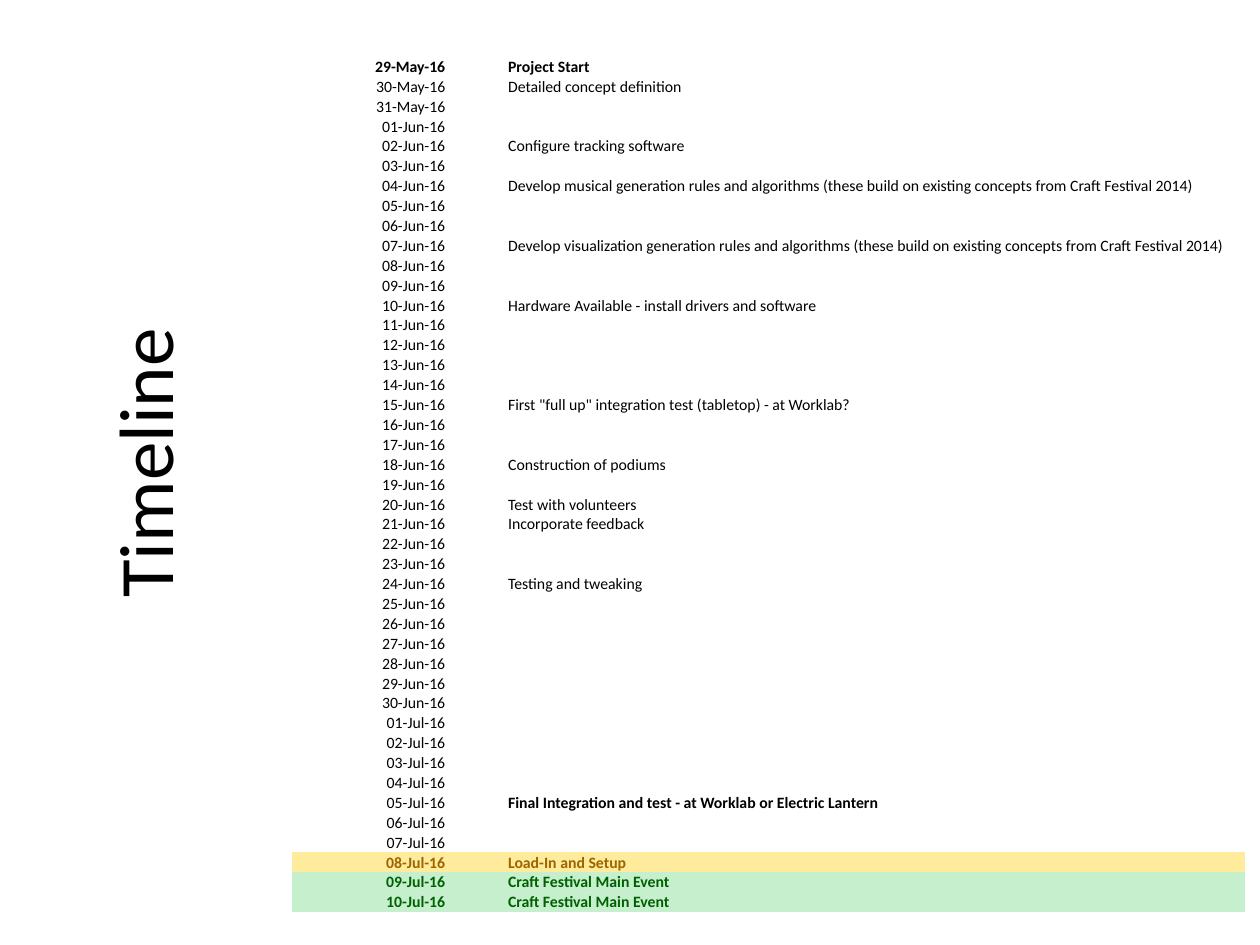
from pptx import Presentation
from pptx.dml.color import RGBColor
from pptx.enum import text
from pptx.util import Pt

FONT = "Calibri"
BLACK = RGBColor(0x00, 0x00, 0x00)
AMBER = RGBColor(0x9C, 0x65, 0x00)
SAND = RGBColor(0xFF, 0xEB, 0x9C)
GREEN = RGBColor(0x00, 0x61, 0x00)
MINT = RGBColor(0xC6, 0xEF, 0xCE)

PLAIN_STYLE = "{2D5ABB26-0587-4C30-8999-92F81FD0307C}"
SIZE = 9
ROW = 11.37
COLS = (87.8, 35.2, 421.2)

# month, first day, last day
SPANS = (("May", 29, 31), ("Jun", 1, 30), ("Jul", 1, 10))
BUILD = "(these build on existing concepts from Craft Festival 2014)"
TASKS = {
    "29-May": "Project Start",
    "30-May": "Detailed concept definition",
    "02-Jun": "Configure tracking software",
    "04-Jun": f"Develop musical generation rules and algorithms {BUILD}",
    "07-Jun": f"Develop visualization generation rules and algorithms {BUILD}",
    "10-Jun": "Hardware Available - install drivers and software",
    "15-Jun": 'First "full up" integration test (tabletop) - at Worklab?',
    "18-Jun": "Construction of podiums",
    "20-Jun": "Test with volunteers",
    "21-Jun": "Incorporate feedback",
    "24-Jun": "Testing and tweaking",
    "05-Jul": "Final Integration and test - at Worklab or Electric Lantern",
    "08-Jul": "Load-In and Setup",
    "09-Jul": "Craft Festival Main Event",
    "10-Jul": "Craft Festival Main Event",
}
# day: (text colour, band fill)
BANDS = {"08-Jul": (AMBER, SAND), "09-Jul": (GREEN, MINT), "10-Jul": (GREEN, MINT)}
BOLD_DAYS = {"29-May", *BANDS}
BOLD_TASKS = BOLD_DAYS | {"05-Jul"}


def add_run(para, words, size, color, bold=False):
    run = para.add_run()
    run.text = words
    font = run.font
    font.name, font.size, font.bold = FONT, Pt(size), bold
    font.color.rgb = color


def add_title(slide, words):
    box = slide.shapes.add_textbox(Pt(-167.8), Pt(219.6), Pt(499), Pt(90))
    box.rotation = 270
    frame = box.text_frame
    frame.word_wrap = True
    frame.vertical_anchor = text.MSO_ANCHOR.MIDDLE
    para = frame.paragraphs[0]
    para.alignment = text.PP_ALIGN.CENTER
    add_run(para, words, 44, BLACK)


def set_cell(cell, words, color, fill, bold, align):
    cell.margin_left = cell.margin_right = Pt(0.4)
    cell.margin_top, cell.margin_bottom = Pt(0.38), Pt(0)
    cell.vertical_anchor = text.MSO_ANCHOR.BOTTOM
    if fill is None:
        cell.fill.background()
    else:
        cell.fill.solid()
        cell.fill.fore_color.rgb = fill
    para = cell.text_frame.paragraphs[0]
    para.alignment = align
    if words:
        add_run(para, words, SIZE, color, bold)
    else:
        # An empty cell must not force its row taller.
        para._p.get_or_add_endParaRPr().set("sz", str(SIZE * 100))


def add_plan(slide, days):
    frame = slide.shapes.add_table(len(days), len(COLS), Pt(167), Pt(32.4),
                                   Pt(sum(COLS)), Pt(ROW * len(days)))
    table = frame.table
    table.first_row = table.horz_banding = False
    table._tbl.tblPr[0].text = PLAIN_STYLE
    for col, width in zip(table.columns, COLS):
        col.width = Pt(width)
    left, right = text.PP_ALIGN.LEFT, text.PP_ALIGN.RIGHT
    for row, day in zip(table.rows, days):
        row.height = Pt(ROW)
        color, fill = BANDS.get(day, (BLACK, None))
        date, gap, task = row.cells
        set_cell(date, f"{day}-16", color, fill, day in BOLD_DAYS, right)
        set_cell(gap, "", color, fill, False, left)
        set_cell(task, TASKS.get(day, ""), color, fill, day in BOLD_TASKS, left)


def main():
    deck = Presentation()
    deck.slide_width, deck.slide_height = Pt(720), Pt(540)
    slide = deck.slides.add_slide(deck.slide_layouts[6])
    days = [f"{day:02}-{month}" for month, first, last in SPANS
            for day in range(first, last + 1)]
    add_title(slide, "Timeline")
    add_plan(slide, days)
    deck.save("out.pptx")


if __name__ == "__main__":
    main()
